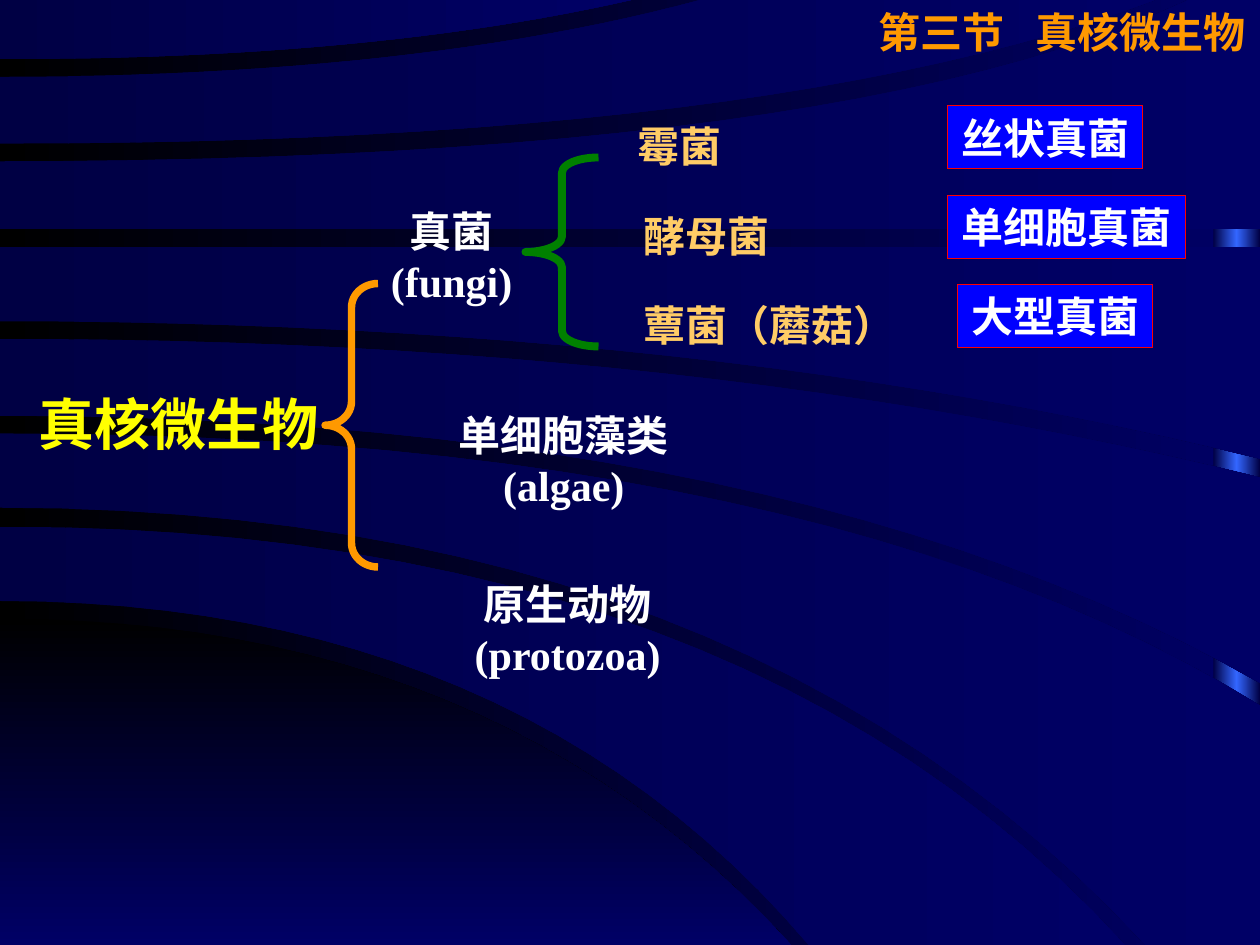
"""Build a slide that classifies the eukaryotic microorganisms."""
from collections import namedtuple
from copy import deepcopy

from pptx import Presentation
from pptx.dml.color import RGBColor
from pptx.enum.shapes import MSO_SHAPE
from pptx.enum.text import MSO_ANCHOR, MSO_AUTO_SIZE, PP_ALIGN
from pptx.oxml import parse_xml
from pptx.oxml.ns import nsdecls
from pptx.util import Inches, Pt

RECTANGLE, LEFT_BRACE = MSO_SHAPE.RECTANGLE, MSO_SHAPE.LEFT_BRACE
TOP = MSO_ANCHOR.TOP
FIT_TEXT = MSO_AUTO_SIZE.SHAPE_TO_FIT_TEXT
LEFT, CENTER = PP_ALIGN.LEFT, PP_ALIGN.CENTER

BLACK = RGBColor(0x00, 0x00, 0x00)
NAVY = RGBColor(0x00, 0x00, 0x66)
DARK_NAVY = RGBColor(0x00, 0x00, 0x44)
GLOW = RGBColor(0x33, 0x66, 0xFF)
ORANGE = RGBColor(0xFF, 0x99, 0x00)
YELLOW = RGBColor(0xFF, 0xFF, 0x00)
SAND = RGBColor(0xFF, 0xCC, 0x66)
WHITE = RGBColor(0xFF, 0xFF, 0xFF)
GREEN = RGBColor(0x00, 0x80, 0x00)
BLUE = RGBColor(0x00, 0x00, 0xFF)
RED = RGBColor(0xFF, 0x00, 0x00)

WIDTH, HEIGHT = 10, 7.5
ROW_TOP, ROW_STEP, ROW_HEIGHT = 0.91, 0.71, 0.5
TAG_RISE = 0.07
ARC_STEPS = 24

Arc = namedtuple("Arc", "start_y bend_x end_x end_y")
CORNER = (Arc(4.91, 3.93, 6.28, HEIGHT), Arc(HEIGHT, 3, 6.28, HEIGHT))
BANDS = [
    (Arc(4.18, 5.9, 8.93, HEIGHT), Arc(4.77, 4.1, 6.42, HEIGHT)),
    (Arc(3.44, 6.5, WIDTH, 5.6), Arc(4.03, 5.9, 9.09, HEIGHT)),
    (Arc(2.69, 5.54, WIDTH, 3.79), Arc(3.3, 6.3, WIDTH, 5.42)),
    (Arc(1.96, 5, WIDTH, 1.96), Arc(2.55, 5.6, WIDTH, 3.64)),
    (Arc(1.28, 6.7, 9.43, 0), Arc(1.82, 5, WIDTH, 1.82)),
    (Arc(0.61, 3.3, 5.56, 0), Arc(1.14, 6.15, 9.17, 0)),
    (Arc(0, 2.5, 5.01, 0), Arc(0.47, 2.95, 5.01, 0)),
]


def inches(*lengths):
    """Convert numbers of inches to lengths."""
    return [Inches(length) for length in lengths]


def paint_gradient(fill, colours, angle=0):
    """Fill with evenly spaced colours."""
    fill.gradient()
    fill.gradient_angle = angle
    stop_list = fill.gradient_stops[0]._gs.getparent()
    for _ in colours[2:]:
        stop_list.append(deepcopy(stop_list[0]))
    for index, (stop, colour) in enumerate(zip(fill.gradient_stops, colours)):
        stop.position = index / (len(colours) - 1)
        stop.color.rgb = colour


def trace(arc):
    """Return points of a curve that leaves the left edge horizontally."""
    points = []
    for step in range(ARC_STEPS + 1):
        t = step / ARC_STEPS
        x = 2 * t * (1 - t) * arc.bend_x + t * t * arc.end_x
        y = arc.start_y + t * t * (arc.end_y - arc.start_y)
        points.append(tuple(inches(x, y)))
    return points


def add_band(shapes, upper, lower, colours, angle=0):
    """Draw the background band between two arcs."""
    shorter, longer = sorted((upper, lower), key=lambda arc: arc.end_x)
    far_corner = tuple(inches(longer.end_x, shorter.end_y))
    outline = trace(upper) + [far_corner] + trace(lower)[::-1]
    builder = shapes.build_freeform(*outline[0], scale=1.0)
    builder.add_line_segments(outline[1:], close=True)
    band = builder.convert_to_shape()
    paint_gradient(band.fill, colours, angle)
    band.line.fill.background()
    band.shadow.inherit = False


def write(shape, lines, colour, size=24, align=CENTER):
    """Write bold lines of text into a shape."""
    frame = shape.text_frame
    frame.text = "\n".join(lines)
    frame_format = {"word_wrap": False, "auto_size": FIT_TEXT, "vertical_anchor": TOP}
    for name, value in frame_format.items():
        setattr(frame, name, value)
    for paragraph in frame.paragraphs:
        paragraph.alignment = align
        font = paragraph.runs[0].font
        for name, value in {"name": "Times New Roman", "size": Pt(size), "bold": True}.items():
            setattr(font, name, value)
        font.color.rgb = colour


def add_label(shapes, box, lines, colour, size=24):
    """Add a free-standing label."""
    write(shapes.add_textbox(*inches(*box)), lines, colour, size)


def add_tag(shapes, box, text):
    """Add a framed blue tag."""
    tag = shapes.add_shape(RECTANGLE, *inches(*box))
    tag.shadow.inherit = False
    tag.fill.solid()
    tag.fill.fore_color.rgb = BLUE
    tag.line.color.rgb = RED
    tag.line.width = Pt(0.75)
    write(tag, [text], WHITE)


def add_brace(shapes, box, curl, colour, weight):
    """Add a left brace that opens a branch."""
    brace = shapes.add_shape(LEFT_BRACE, *inches(*box))
    brace.adjustments[0] = curl
    brace.shadow.inherit = False
    brace.fill.background()
    brace.line.color.rgb = colour
    brace.line.width = Pt(weight)


def add_backdrop(slide):
    """Paint the dark background with its curved bands."""
    shapes = slide.shapes
    paint_gradient(slide.background.fill, [BLACK, NAVY])
    glow = shapes.add_shape(RECTANGLE, *inches(WIDTH - 0.37, 0, 0.37, HEIGHT))
    paint_gradient(glow.fill, [DARK_NAVY, GLOW, DARK_NAVY])
    glow.line.fill.background()
    glow.shadow.inherit = False
    add_band(shapes, *CORNER, [BLACK, NAVY], 270)
    for upper, lower in BANDS:
        add_band(shapes, upper, lower, [DARK_NAVY, NAVY])


def place_title(slide):
    """Set the section title at the top right, in front of the bands."""
    title = slide.shapes.title
    title.left, title.top, title.width, title.height = inches(6.87, 0, 3.13, 0.5)
    write(title, ["第三节\t真核微生物"], ORANGE, align=LEFT)
    properties = title.text_frame.paragraphs[0]._p.get_or_add_pPr()
    properties.append(parse_xml(
        f'<a:tabLst {nsdecls("a")}><a:tab pos="{Inches(1.25)}" algn="l"/></a:tabLst>'))
    slide.shapes.element.append(title.element)


def main():
    """Build and save the slide."""
    deck = Presentation()
    deck.slide_width, deck.slide_height = inches(WIDTH, HEIGHT)
    slide = deck.slides.add_slide(deck.slide_layouts[5])
    shapes = slide.shapes
    add_backdrop(slide)
    place_title(slide)

    add_label(shapes, (0.2, 3.04, 2.43, 0.63), ["真核微生物"], YELLOW, 32)
    groups = [
        (3, 1.58, 1.17, "真菌", "(fungi)"),
        (3, 3.2, 2.95, "单细胞藻类", "(algae)"),
        (2.98, 4.54, 3.05, "原生动物", "(protozoa)"),
    ]
    for left, top, width, *lines in groups:
        add_label(shapes, (left, top, width, 0.91), lines, WHITE)

    add_brace(shapes, (2.58, 2.25, 0.42, 2.25), 0.45, ORANGE, 4.25)
    add_brace(shapes, (4.17, 1.25, 0.58, 1.5), 0.21, GREEN, 4.5)

    fungi = [
        ("霉菌", 4.84, 1.1, "丝状真菌", 7.52, 1.55),
        ("酵母菌", 5, 1.21, "单细胞真菌", 7.52, 1.89),
        ("蕈菌（蘑菇）", 5.01, 2.2, "大型真菌", 7.6, 1.55),
    ]
    for row, (name, left, width, kind, tag_left, tag_width) in enumerate(fungi):
        top = ROW_TOP + row * ROW_STEP
        add_label(shapes, (left, top, width, ROW_HEIGHT), [name], SAND)
        add_tag(shapes, (tag_left, top - TAG_RISE, tag_width, ROW_HEIGHT), kind)

    deck.save("out.pptx")


if __name__ == "__main__":
    main()
